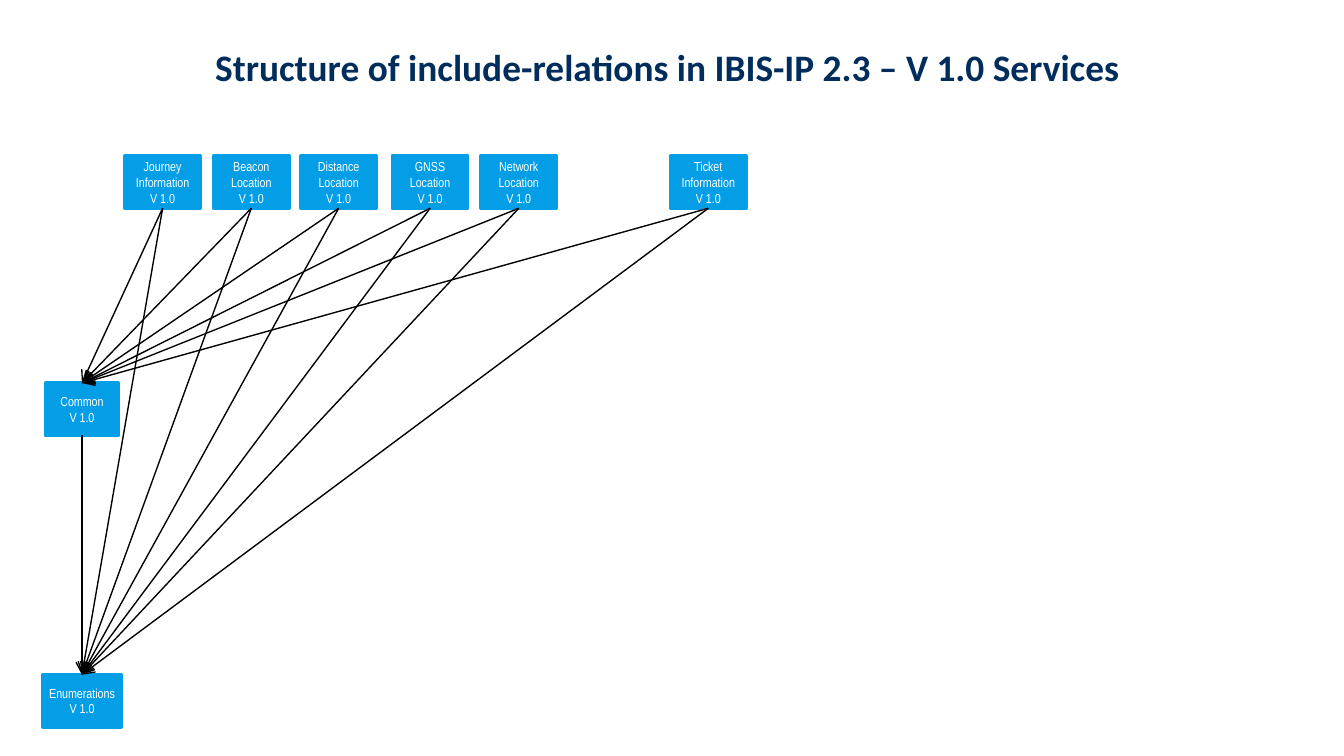
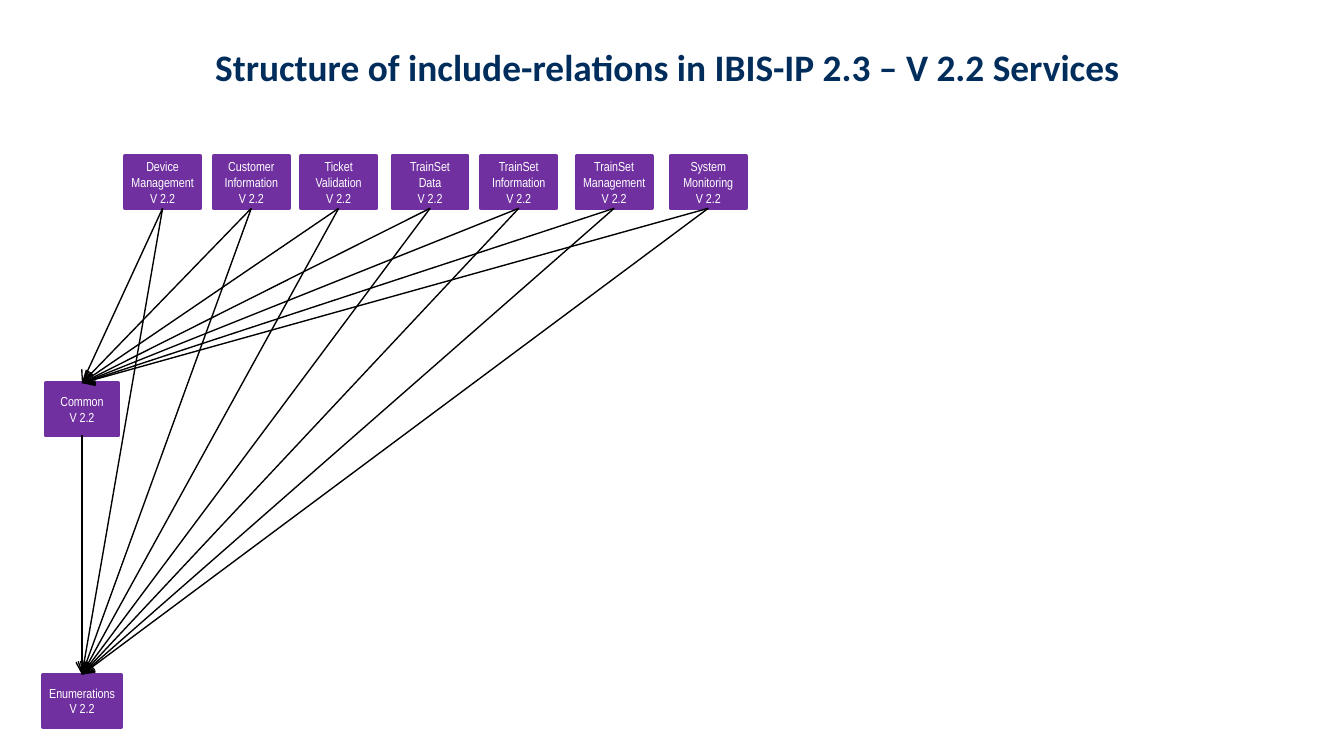
import pptx
import pptx.util
import pptx.dml.color
import pptx.enum.shapes
import pptx.enum.text
import pptx.oxml
import pptx.oxml.ns

Inches, Pt = pptx.util.Inches, pptx.util.Pt

HUES = {"title": "002D5B", "blue": "039EE6", "purple": "7030A0",
        "text": "FFFFFF", "line": "000000"}

# Each service: column, then its paragraphs ("\n" breaks a line within one)
SLIDES = [
    {"version": "V 1.0", "hue": "blue", "services": [
        (0, ["Journey", "Information", "V 1.0"]),
        (1, ["Beacon", "Location", "V 1.0"]),
        (2, ["Distance", "Location", "V 1.0"]),
        (3, ["GNSS", "Location", "V 1.0"]),
        (4, ["Network", "Location", "V 1.0"]),
        (6, ["Ticket", "Information", "V 1.0"]),
    ]},
    {"version": "V 2.2", "hue": "purple", "services": [
        (0, ["Device\nManagement", "V 2.2"]),
        (1, ["Customer\nInformation", "V 2.2"]),
        (2, ["Ticket\nValidation", "V 2.2"]),
        (3, ["TrainSet\nData", "V 2.2"]),
        (4, ["TrainSet\nInformation\nV 2.2"]),
        (5, ["TrainSet\nManagement", "V 2.2"]),
        (6, ["System", "Monitoring", "V 2.2"]),
    ]},
]

LEFTS = [0.93, 1.59, 2.24, 2.92, 3.58, 4.29, 4.99]
TOP, WIDE, HIGH = 1.16, 0.56, 0.39
COMMON = (0.34, 2.85, 0.54)
ENUMS = (0.32, 5.02, 0.58)
BOTTOM, UPPER = 2, 0


def color(name):
    return pptx.dml.color.RGBColor.from_string(HUES[name])


def write(frame, paras, font, size, hue, bold=False):
    """Fill a text frame with centred paragraphs."""
    frame.word_wrap = True
    frame.margin_left = frame.margin_right = 0
    frame.margin_top = frame.margin_bottom = Inches(0.05)
    for i, text in enumerate(paras):
        para = frame.add_paragraph() if i else frame.paragraphs[0]
        para.alignment = pptx.enum.text.PP_ALIGN.CENTER
        for j, part in enumerate(text.split("\n")):
            if j:
                para.add_line_break()
            run = para.add_run()
            run.text = part
            run.font.name, run.font.size = font, Pt(size)
            run.font.bold = bold
            run.font.color.rgb = color(hue)


def head(slide, version):
    title = slide.shapes.title
    title.left, title.top = Inches(0), Inches(0.28)
    title.width, title.height = Inches(10), Inches(0.68)
    text = f"Structure of include-relations in IBIS-IP 2.3 – {version} Services "
    write(title.text_frame, [text], "Calibri", 20, "title", True)
    title.text_frame.auto_size = pptx.enum.text.MSO_AUTO_SIZE.NONE
    title.text_frame.vertical_anchor = pptx.enum.text.MSO_ANCHOR.TOP


def box(slide, left, top, width, paras, hue):
    shape = slide.shapes.add_shape(
        pptx.enum.shapes.MSO_SHAPE.RECTANGLE,
        Inches(left), Inches(top), Inches(width), Inches(HIGH))
    shape.shadow.inherit = False
    shape.fill.solid()
    shape.fill.fore_color.rgb = color(hue)
    shape.line.color.rgb = color(hue)
    shape.line.width = Pt(2)
    write(shape.text_frame, paras, "Arial Narrow", 7, "text")
    shape.text_frame.vertical_anchor = pptx.enum.text.MSO_ANCHOR.MIDDLE
    return shape


def link(slide, start, end):
    """Draw an arrow from the bottom of one box to the top of another."""
    line = slide.shapes.add_connector(
        pptx.enum.shapes.MSO_CONNECTOR.STRAIGHT, 0, 0, 0, 0)
    line.begin_connect(start, BOTTOM)
    line.end_connect(end, UPPER)
    line.line.color.rgb = color("line")
    line.line.width = Pt(0.75)
    tip = pptx.oxml.parse_xml(
        f'<a:tailEnd {pptx.oxml.ns.nsdecls("a")} type="arrow"/>')
    line.line._get_or_add_ln().append(tip)
    line._element.spPr.append(pptx.oxml.parse_xml(
        f'<a:effectLst {pptx.oxml.ns.nsdecls("a")}/>'))


def build(deck, version, hue, services):
    slide = deck.slides.add_slide(deck.slide_layouts[5])
    head(slide, version)
    common = box(slide, *COMMON, ["Common", version], hue)
    enums = box(slide, *ENUMS, ["Enumerations", version], hue)
    tops = [box(slide, LEFTS[col], TOP, WIDE, paras, hue)
            for col, paras in services]
    link(slide, common, enums)
    for service in tops:
        link(slide, service, common)
        link(slide, service, enums)


def main():
    deck = pptx.Presentation()
    deck.slide_width = Inches(10)
    deck.slide_height = Inches(10 * 9 / 16)
    for data in SLIDES:
        build(deck, **data)
    deck.save("out.pptx")


if __name__ == "__main__":
    main()
